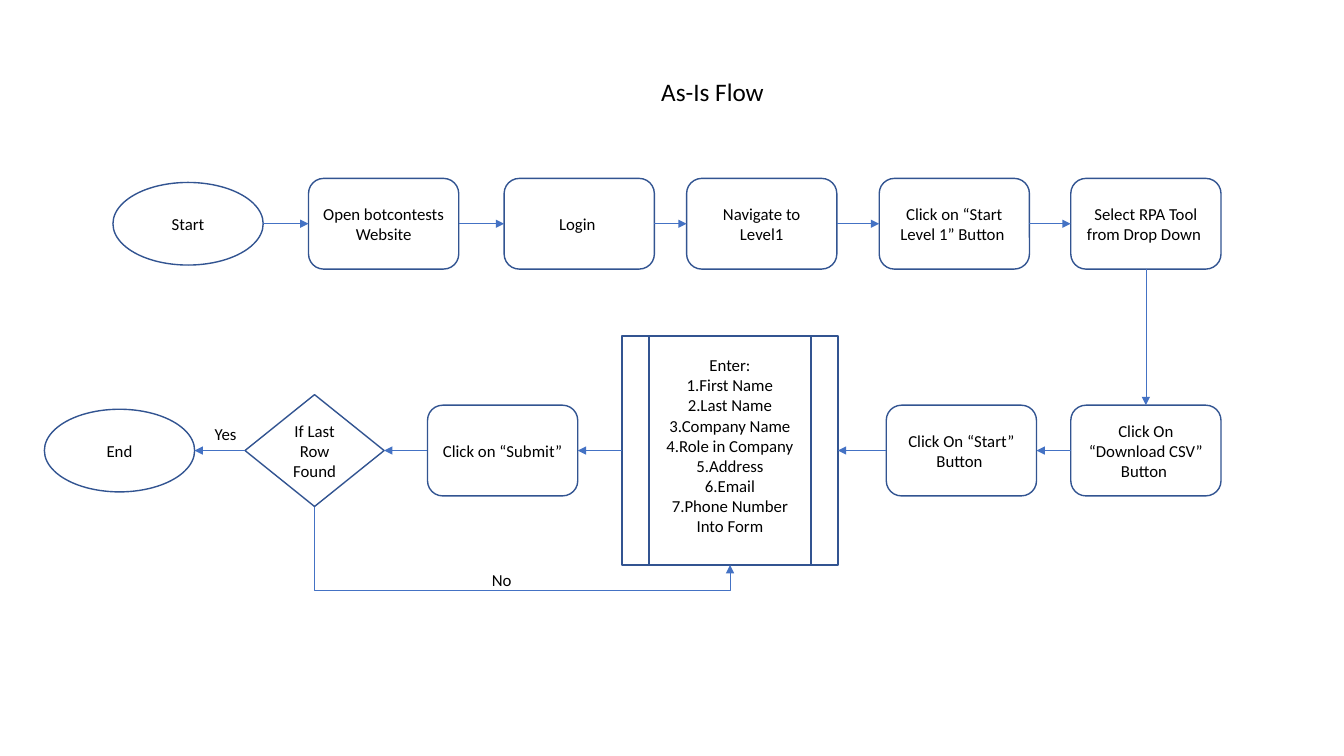
from pptx import Presentation
from pptx.dml.color import RGBColor
from pptx.enum.shapes import MSO_CONNECTOR, MSO_SHAPE
from pptx.enum.text import MSO_ANCHOR, PP_ALIGN
from pptx.oxml.ns import qn
from pptx.util import Inches, Pt
from lxml.etree import SubElement

COLORS = {"fill": "FFFFFF", "outline": "325491", "arrow": "4472C4", "text": "000000"}
FONT = "Calibri"
TOP_ROW, BOTTOM_ROW = 2.22, 4.47  # centre lines
TOP, LEFT, BOTTOM, RIGHT = range(4)  # connection sites
LOOP_DROP = 0.83  # depth of the "No" loop below the decision

KINDS = {  # preset, width, height
    "terminal": (MSO_SHAPE.OVAL, 1.49, 0.82),
    "step": (MSO_SHAPE.ROUNDED_RECTANGLE, 1.49, 0.9),
    "form": (MSO_SHAPE.FLOWCHART_PREDEFINED_PROCESS, 2.14, 2.27),
    "decision": (MSO_SHAPE.FLOWCHART_DECISION, 1.38, 1.11),
}
FORM_LINES = ["Enter:", "1.First Name", "2.Last Name", "3.Company Name",
              "4.Role in Company", "5.Address", "6.Email", "7.Phone Number", "Into Form"]
# Nodes in flow order: kind, left edge, lines of text
TOP_NODES = [
    ("terminal", 1.12, ["Start"]),
    ("step", 3.06, ["Open botcontests Website"]),
    ("step", 5.0, ["Login "]),
    ("step", 6.81, ["Navigate to Level1"]),
    ("step", 8.72, ["Click on “Start Level 1” Button "]),
    ("step", 10.62, ["Select RPA Tool from Drop Down "]),
]
BOTTOM_NODES = [
    ("step", 10.62, ["Click On “Download CSV” Button "]),
    ("step", 8.79, ["Click On “Start” Button "]),
    ("form", 6.17, FORM_LINES),
    ("step", 4.24, ["Click on “Submit” "]),
    ("decision", 2.43, ["If Last Row Found"]),
    ("terminal", 0.44, ["End"]),
]
# Text, left, top, width, height, size, alignment, wrap
LABELS = [
    ("Yes", 2.03, 4.15, 0.42, 0.3, 12, PP_ALIGN.LEFT, False),
    ("No", 4.78, 5.6, 0.4, 0.3, 12, PP_ALIGN.LEFT, False),
    ("As-Is Flow ", 6.27, 0.71, 1.65, 0.4, 18, PP_ALIGN.CENTER, True),
]


def color(name):
    """Return the named palette colour."""
    return RGBColor.from_string(COLORS[name])


def write(frame, lines, size, align):
    """Fill a text frame, one paragraph a line."""
    frame.text = "\n".join(lines)
    for paragraph in frame.paragraphs:
        paragraph.alignment = align
        paragraph.font.name = FONT
        paragraph.font.size = Pt(size)
        paragraph.font.color.rgb = color("text")


def add_node(kind, left, lines, center_y):
    """Draw one flowchart node centred on its row."""
    preset, width, height = KINDS[kind]
    node = slide.shapes.add_shape(preset, Inches(left), Inches(center_y - height / 2),
                                  Inches(width), Inches(height))
    node.shadow.inherit = False
    node.fill.solid()
    node.fill.fore_color.rgb = color("fill")
    node.line.color.rgb = color("outline")
    node.line.width = Pt(1)
    frame = node.text_frame
    frame.word_wrap = True
    frame.vertical_anchor = MSO_ANCHOR.MIDDLE
    if kind == "form":
        frame.margin_bottom = Inches(0.15)
    write(frame, lines, 12, PP_ALIGN.CENTER)
    return node


def add_arrow(source, source_side, target, target_side, style=MSO_CONNECTOR.STRAIGHT):
    """Join two nodes with an arrow glued to the given sides."""
    arrow = slide.shapes.add_connector(style, 0, 0, 0, 0)
    arrow.begin_connect(source, source_side)
    arrow.end_connect(target, target_side)
    ends = arrow._element.nvCxnSpPr.cNvCxnSpPr
    for node, glue, side in ((source, ends.stCxn, source_side),
                             (target, ends.endCxn, target_side)):
        if node.auto_shape_type == MSO_SHAPE.OVAL:  # an oval has eight sites
            glue.idx = side * 2
    arrow.line.color.rgb = color("arrow")
    arrow.line.width = Pt(0.5)
    SubElement(arrow.line._get_or_add_ln(), qn("a:tailEnd"), type="triangle")
    SubElement(arrow._element.spPr, qn("a:effectLst"))
    return arrow


def add_loop(source, target):
    """Draw the elbow arrow that runs beneath, from bottom to bottom."""
    loop = add_arrow(source, BOTTOM, target, BOTTOM, MSO_CONNECTOR.ELBOW)
    across, down = loop.width, loop.height
    center_x, center_y = loop.left + across // 2, loop.top + down // 2
    loop.width, loop.height = down, across
    loop.left, loop.top = center_x - down // 2, center_y - across // 2
    properties = loop._element.spPr
    properties.xfrm.set("rot", str(270 * 60000))
    properties.xfrm.set("flipH", "1")
    adjustments = properties.find(qn("a:prstGeom")).get_or_add_avLst()
    bend = round(100000 * Inches(LOOP_DROP) / down)
    SubElement(adjustments, qn("a:gd"), name="adj1", fmla=f"val {bend}")


presentation = Presentation()
presentation.slide_width, presentation.slide_height = Inches(13.33), Inches(7.5)
slide = presentation.slides.add_slide(presentation.slide_layouts[6])

top_nodes = [add_node(*node, TOP_ROW) for node in TOP_NODES]
bottom_nodes = [add_node(*node, BOTTOM_ROW) for node in BOTTOM_NODES]

for source, target in zip(top_nodes, top_nodes[1:]):
    add_arrow(source, RIGHT, target, LEFT)
for source, target in zip(bottom_nodes, bottom_nodes[1:]):
    add_arrow(source, LEFT, target, RIGHT)
add_arrow(top_nodes[-1], BOTTOM, bottom_nodes[0], TOP)
form, decision = bottom_nodes[2], bottom_nodes[4]
add_loop(decision, form)

for text, left, top, width, height, size, align, wrap in LABELS:
    label = slide.shapes.add_textbox(Inches(left), Inches(top), Inches(width), Inches(height))
    label.text_frame.word_wrap = wrap
    write(label.text_frame, [text], size, align)

presentation.save("out.pptx")
